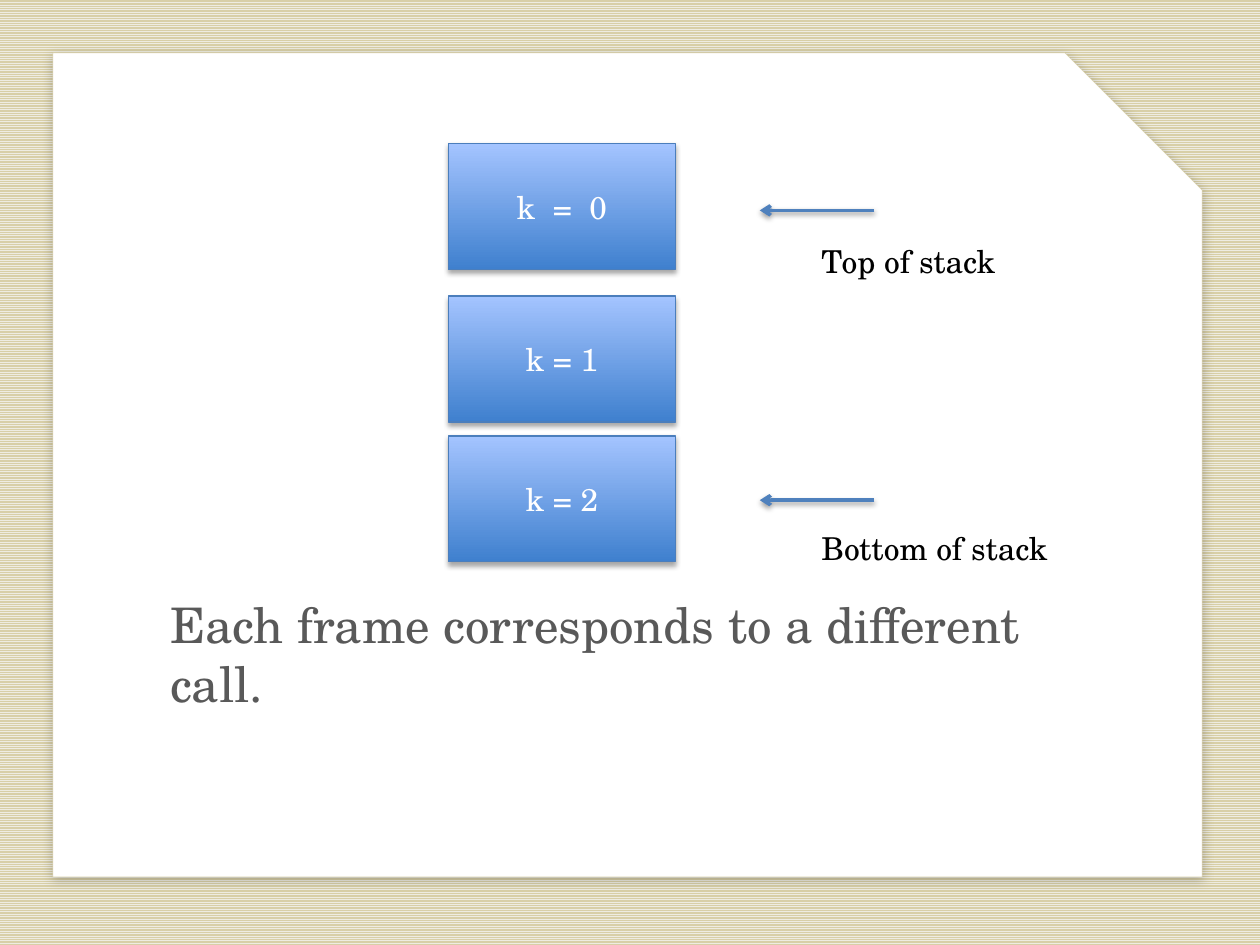
import pptx
import pptx.dml.color
import pptx.enum.dml
import pptx.enum.shapes
import pptx.enum.text
import pptx.oxml.ns
import pptx.util
from lxml import etree

# Content
FRAMES = [("k  =  0", 1.14), ("k = 1", 2.35), ("k = 2", 3.46)]  # text, top
MARKERS = [("Top of stack", 1.67, 1.87, 1.59),  # text, arrow y, label top, width
           ("Bottom of stack", 3.97, 4.15, 2.19)]
CAPTION = "Each frame corresponds to a different call."

FONT = "TeX Gyre Schola"
COLORS = {
    "stripe": "EEECE1", "backdrop": "D8CFA7", "card": "FFFFFF",
    "frame_bottom": "3F80CE", "frame_top": "A4C4FF", "frame_line": "4B7EBC",
    "arrow": "4F81BD", "frame_text": "FFFFFF", "label": "000000",
    "caption": "595959", "shadow": "000000",
}
WIDTH, HEIGHT = 10, 7.5
CARD_MARGIN = 0.42
FRAME_LEFT, FRAME_WIDTH, FRAME_HEIGHT = 3.56, 1.8, 1
ARROW_START, ARROW_END, LABEL_LEFT = 6.94, 6.03, 6.42

inches = pptx.util.Inches
SHAPES = pptx.enum.shapes.MSO_SHAPE
ALIGN = pptx.enum.text.PP_ALIGN


def rgb(name):
    return pptx.dml.color.RGBColor.from_string(COLORS[name])


def add_child(parent, tag, **attributes):
    return etree.SubElement(parent, pptx.oxml.ns.qn(tag), attributes)


def set_line(shape, color, width):
    shape.line.color.rgb = rgb(color)
    shape.line.width = pptx.util.Pt(width)


def add_shadow(properties, opacity, blur, distance, angle):
    for old in properties.findall(pptx.oxml.ns.qn("a:effectLst")):
        properties.remove(old)
    effects = add_child(properties, "a:effectLst")
    shadow = add_child(effects, "a:outerShdw", blurRad=str(pptx.util.Pt(blur)),
                       dist=str(pptx.util.Pt(distance)), dir=str(angle * 60000),
                       algn="ctr", rotWithShape="0")
    color = add_child(shadow, "a:srgbClr", val=COLORS["shadow"])
    add_child(color, "a:alpha", val=str(opacity * 1000))


def write(shape, text, size, color, align):
    paragraph = shape.text_frame.paragraphs[0]
    paragraph.text = text
    paragraph.alignment = align
    paragraph.font.name = FONT
    paragraph.font.size = pptx.util.Pt(size)
    paragraph.font.color.rgb = rgb(color)
    return paragraph


presentation = pptx.Presentation()
presentation.slide_width, presentation.slide_height = inches(WIDTH), inches(HEIGHT)
slide = presentation.slides.add_slide(presentation.slide_layouts[0])
title = slide.shapes.title.element
title.getparent().remove(title)

# Striped background
background = slide.background.fill
background.patterned()
background.pattern = pptx.enum.dml.MSO_PATTERN.NARROW_HORIZONTAL
background.fore_color.rgb = rgb("stripe")
background.back_color.rgb = rgb("backdrop")

# Caption in the subtitle placeholder
caption = slide.placeholders[1]
caption.left, caption.top = inches(1.35), inches(4.72)
caption.width, caption.height = inches(7), inches(1.42)
frame = caption.text_frame
frame.margin_left = frame.margin_right = frame.margin_top = frame.margin_bottom = 0
frame.vertical_anchor = pptx.enum.text.MSO_ANCHOR.TOP
write(caption, CAPTION, 28, "caption", ALIGN.LEFT).space_before = pptx.util.Pt(0)

# White card with a cut corner, behind everything
card = slide.shapes.add_shape(
    SHAPES.SNIP_1_RECTANGLE, inches(CARD_MARGIN), inches(CARD_MARGIN),
    inches(9.12), inches(6.54))
card.fill.solid()
card.fill.fore_color.rgb = rgb("card")
set_line(card, "backdrop", 0.25)
add_shadow(card.element.spPr, 22, 6, 2, 80)
caption.element.addprevious(card.element)

# Stack frames
for text, top in FRAMES:
    box = slide.shapes.add_shape(
        SHAPES.RECTANGLE, inches(FRAME_LEFT), inches(top),
        inches(FRAME_WIDTH), inches(FRAME_HEIGHT))
    box.fill.gradient()
    box.fill.gradient_angle = 90
    for stop, color in zip(box.fill.gradient_stops, ("frame_bottom", "frame_top")):
        stop.color.rgb = rgb(color)
    set_line(box, "frame_line", 0.75)
    add_shadow(box.element.spPr, 35, 3.1, 1.8, 90)
    box.text_frame.vertical_anchor = pptx.enum.text.MSO_ANCHOR.MIDDLE
    write(box, text, 18, "frame_text", ALIGN.CENTER)

# Arrows and their labels
for text, arrow_y, label_top, label_width in MARKERS:
    arrow = slide.shapes.add_connector(
        pptx.enum.shapes.MSO_CONNECTOR.STRAIGHT, inches(ARROW_START),
        inches(arrow_y), inches(ARROW_END), inches(arrow_y))
    set_line(arrow, "arrow", 2)
    add_child(arrow.line._get_or_add_ln(), "a:tailEnd", type="arrow")
    add_shadow(arrow.element.spPr, 38, 3.1, 1.6, 90)

    label = slide.shapes.add_textbox(
        inches(LABEL_LEFT), inches(label_top), inches(label_width), inches(0.4))
    label.text_frame.word_wrap = True
    label.text_frame.auto_size = pptx.enum.text.MSO_AUTO_SIZE.SHAPE_TO_FIT_TEXT
    write(label, text, 18, "label", ALIGN.LEFT)

presentation.save("out.pptx")
